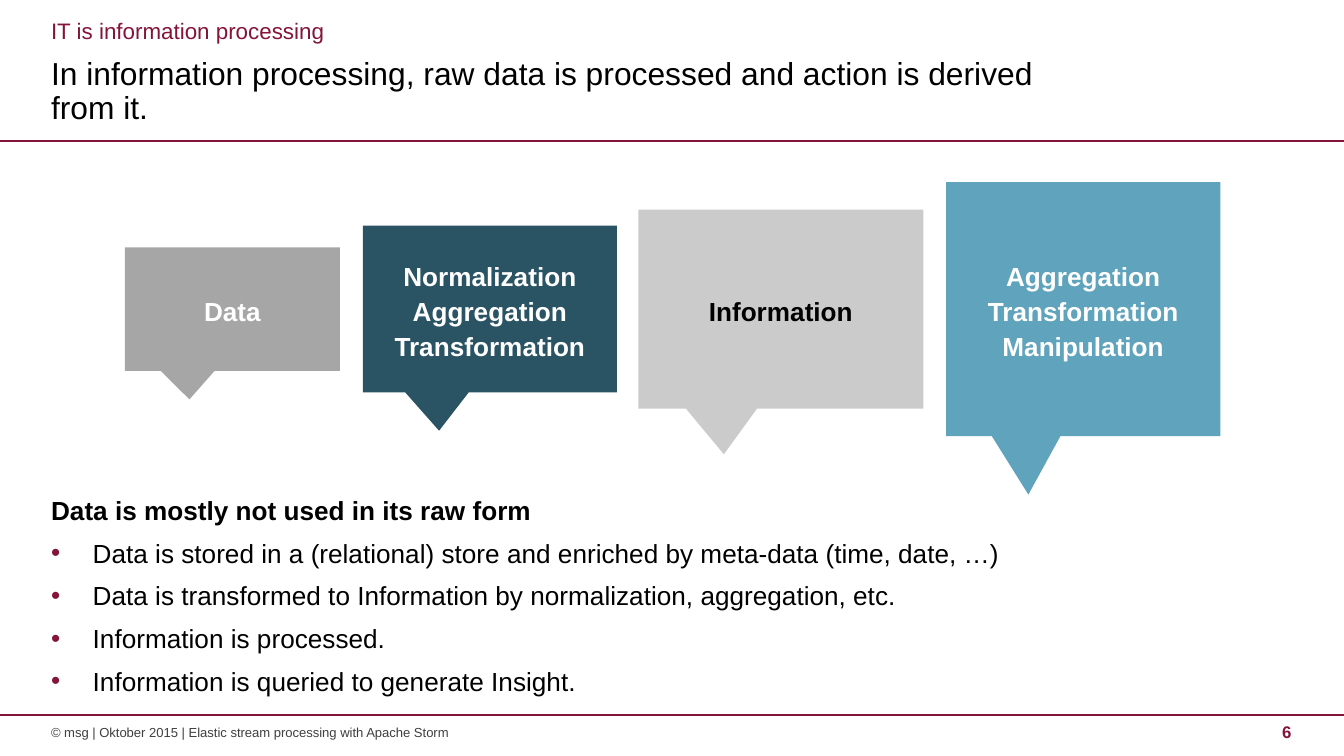
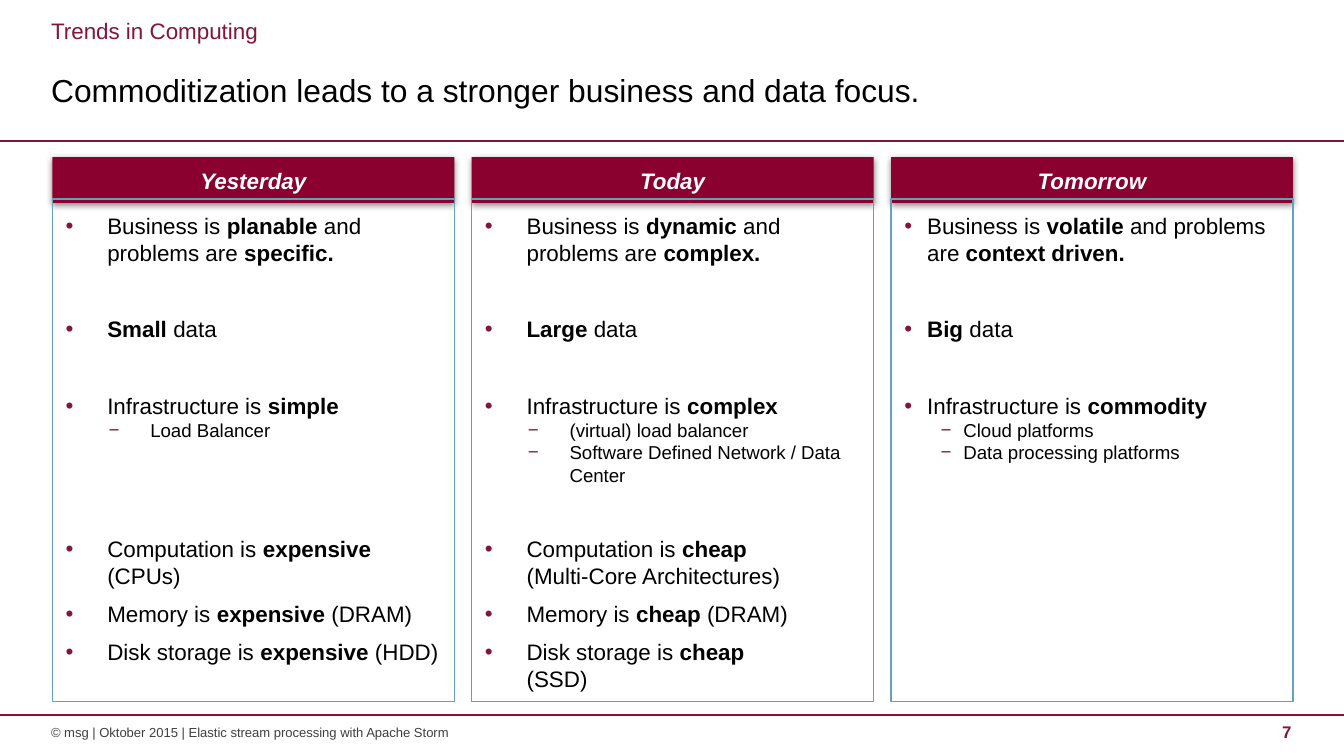
from lxml.etree import SubElement
from pptx import Presentation
from pptx.dml.color import RGBColor
from pptx.enum.shapes import MSO_CONNECTOR, MSO_SHAPE
from pptx.enum.text import MSO_ANCHOR, MSO_AUTO_SIZE, PP_ALIGN
from pptx.oxml.ns import qn
from pptx.util import Inches, Pt

FONT = "Arial"
MAROON = RGBColor(0x84, 0x14, 0x39)
HEADER_RED = RGBColor(0x8A, 0x00, 0x2E)
BLACK = RGBColor(0x00, 0x00, 0x00)
WHITE = RGBColor(0xFF, 0xFF, 0xFF)
DARK_GRAY = RGBColor(0x3F, 0x3F, 0x3F)
MID_GRAY = RGBColor(0xA6, 0xA6, 0xA6)
LIGHT_GRAY = RGBColor(0xCB, 0xCB, 0xCB)
PETROL = RGBColor(0x2A, 0x54, 0x64)
BLUE = RGBColor(0x60, 0xA3, 0xBC)
FOOTER = "© msg | Oktober 2015 | Elastic stream processing with Apache Storm"


def style(tf, size, color, bold=None, align=PP_ALIGN.LEFT, anchor=MSO_ANCHOR.MIDDLE, inset=0):
    """Format a text frame and every run in it."""
    tf.word_wrap = True
    tf.auto_size = MSO_AUTO_SIZE.NONE
    tf.vertical_anchor = anchor
    tf.margin_left = tf.margin_right = tf.margin_top = tf.margin_bottom = Inches(inset)
    for p in tf.paragraphs:
        p.alignment = align
        p.space_before = Pt(0)
        for r in p.runs:
            r.font.name, r.font.size, r.font.color.rgb = FONT, Pt(size), color
            if bold is not None:
                r.font.bold = bold


def bullet(p, char=None, left=0, hang=0):
    """Give a paragraph a maroon bullet, or none."""
    pPr = p._p.get_or_add_pPr()
    pPr.set("marL", str(Inches(left)))
    pPr.set("indent", str(-Inches(hang)))
    if char is None:
        SubElement(pPr, qn("a:buNone"))
        return
    clr = SubElement(pPr, qn("a:buClr"))
    SubElement(clr, qn("a:srgbClr"), val=str(MAROON))
    SubElement(pPr, qn("a:buFont"), typeface=FONT)
    SubElement(pPr, qn("a:buChar"), char=char)


prs = Presentation()
prs.slide_width = Inches(10)
prs.slide_height = prs.slide_width * 9 // 16

# Shared frame: kicker, title, rules, footer, page number
PAGES = [
    (3, "IT is information processing",
     "In information processing, raw data is processed and action is derived from it.", "6"),
    (1, "Trends in Computing",
     "Commoditization leads to a stronger business and data focus.", "7"),
]
for layout, kicker, title, number in PAGES:
    s = prs.slides.add_slide(prs.slide_layouts[layout])
    for sp in list(s.placeholders)[3:]:
        sp._element.getparent().remove(sp._element)
    for y in (5.32, 1.05):
        line = s.shapes.add_connector(MSO_CONNECTOR.STRAIGHT, 0, Inches(y), Inches(10), Inches(y))
        line.line.color.rgb = MAROON
        line.line.width = Pt(0.75)
        SubElement(line._element.spPr, qn("a:effectLst"))

    sp = s.placeholders[1]
    sp.left, sp.top, sp.width, sp.height = Inches(0.38), Inches(0.11), Inches(7.53), Inches(0.23)
    sp.text_frame.text = kicker
    bullet(sp.text_frame.paragraphs[0])
    style(sp.text_frame, 12, MAROON)

    sp = s.shapes.title
    sp.left, sp.top, sp.width, sp.height = Inches(0.38), Inches(0.34), Inches(7.52), Inches(0.69)
    sp.text_frame.text = title
    style(sp.text_frame, 17, BLACK)
    sp.text_frame.paragraphs[0].line_spacing = 0.9

    for text, x, w, size, color, bold, align in (
        (FOOTER, 0.38, 7.52, 7, DARK_GRAY, False, PP_ALIGN.LEFT),
        (number, 9.14, 0.47, 9, MAROON, True, PP_ALIGN.RIGHT),
    ):
        sp = s.shapes.add_textbox(Inches(x), Inches(5.39), Inches(w), Inches(0.11))
        sp.text_frame.text = text
        style(sp.text_frame, size, color, bold, align)

# Slide 1: callouts growing around one centre line
s = prs.slides[0]
CALLOUTS = [
    ("Data", 0.93, 1.6, 0.92, MID_GRAY, WHITE),
    ("Normalization\vAggregation\vTransformation", 2.7, 1.89, 1.24, PETROL, WHITE),
    ("Information", 4.75, 2.12, 1.48, LIGHT_GRAY, BLACK),
    ("Aggregation\vTransformation\vManipulation", 7.04, 2.04, 1.89, BLUE, WHITE),
]
for text, x, w, h, fill, color in CALLOUTS:
    sp = s.shapes.add_shape(MSO_SHAPE.RECTANGULAR_CALLOUT, Inches(x), Inches(2.3 - h / 2),
                            Inches(w), Inches(h))
    sp.adjustments[0], sp.adjustments[1] = -0.2, 0.73
    sp.shadow.inherit = False
    sp.fill.solid()
    sp.fill.fore_color.rgb = fill
    sp.line.fill.background()
    sp.text_frame.text = text
    style(sp.text_frame, 14, color, True, PP_ALIGN.CENTER, inset=0.07)
    sp.text_frame.paragraphs[0].line_spacing = Pt(18.8)

# Slide 1: list
sp = s.placeholders[2]
sp.left, sp.top, sp.width, sp.height = Inches(0.38), Inches(3.68), Inches(9.24), Inches(1.55)
tf = sp.text_frame
tf.text = "\n".join([
    "Data is mostly not used in its raw form",
    "Data is stored in a (relational) store and enriched by meta-data (time, date, …)",
    "Data is transformed to Information by normalization, aggregation, etc.",
    "Information is processed.",
    "Information is queried to generate Insight.",
])
style(tf, 14, BLACK, anchor=MSO_ANCHOR.TOP)
for i, p in enumerate(tf.paragraphs):
    if i:
        bullet(p, "•", 0.31, 0.31)
        p.space_before = Pt(6)
    else:
        bullet(p)
        p.runs[0].font.bold = True

# Slide 2: three columns; rows are (level, space before, text), with *bold* parts
s = prs.slides[1]
GAP = 26.5  # distance between topics, in points
COLUMNS = [
    ("Yesterday", 0.31, 0.63, [
        (0, 0, "Business is *planable *and problems are *specific.*"),
        (0, GAP, "*Small *data"),
        (0, GAP, "Infrastructure is *simple*"),
        (1, 0, "Load Balancer"),
        (0, GAP + 24, "Computation is *expensive *(CPUs)"),
        (0, 6, "Memory is *expensive *(DRAM)"),
        (0, 6, "Disk storage is *expensive *(HDD)"),
    ]),
    ("Today", 0.31, 0.63, [
        (0, 0, "Business is *dynamic *and problems are *complex.*"),
        (0, GAP, "*Large *data"),
        (0, GAP, "Infrastructure is *complex*"),
        (1, 0, "(virtual) load balancer"),
        (1, 0, "Software Defined Network / Data Center"),
        (0, GAP, "Computation is *cheap *\n(Multi-Core Architectures)"),
        (0, 6, "Memory is *cheap *(DRAM)"),
        (0, 6, "Disk storage is *cheap *\n(SSD)"),
    ]),
    ("Tomorrow", 0.17, 0.44, [
        (0, 0, "Business is *volatile *and problems are *context driven.*"),
        (0, GAP, "*Big *data"),
        (0, GAP, "Infrastructure is *commodity*"),
        (1, 0, "Cloud platforms"),
        (1, 0, "Data processing platforms"),
    ]),
]
for i, (heading, hang, sub_left, rows) in enumerate(COLUMNS):
    x = 0.39 + i * 3.12

    # Header bar with a soft shadow
    sp = s.shapes.add_shape(MSO_SHAPE.RECTANGLE, Inches(x), Inches(1.17), Inches(2.99), Inches(0.34))
    sp.fill.solid()
    sp.fill.fore_color.rgb = HEADER_RED
    sp.line.fill.background()
    effects = SubElement(sp._element.spPr, qn("a:effectLst"))
    shadow = SubElement(effects, qn("a:outerShdw"), blurRad=str(Pt(3.5)), dist=str(Pt(1.1)),
                        dir="5400000", rotWithShape="0")
    clr = SubElement(shadow, qn("a:srgbClr"), val=str(BLACK))
    SubElement(clr, qn("a:alpha"), val="45000")
    sp.text_frame.text = heading
    style(sp.text_frame, 12, WHITE, True, PP_ALIGN.CENTER, inset=0.04)
    sp.text_frame.paragraphs[0].runs[0].font.italic = True

    # Framed list
    sp = s.shapes.add_shape(MSO_SHAPE.RECTANGLE, Inches(x), Inches(1.48), Inches(2.99), Inches(3.74))
    sp.shadow.inherit = False
    sp.fill.background()
    sp.line.color.rgb = BLUE
    sp.line.width = Pt(0.75)
    tf = sp.text_frame
    for j, (level, space, text) in enumerate(rows):
        p = tf.add_paragraph() if j else tf.paragraphs[0]
        p.level = level
        for k, part in enumerate(text.split("*")):
            if part.startswith("\n"):
                p.add_line_break()
            if part:
                r = p.add_run()
                r.text = part.lstrip("\n")
                r.font.bold = k % 2 == 1
    style(tf, 12, BLACK, anchor=MSO_ANCHOR.TOP, inset=0.1)
    for p, (level, space, text) in zip(tf.paragraphs, rows):
        bullet(p, "−" if level else "•", sub_left if level else hang, hang)
        p.space_before = Pt(space)
        if level:
            p.runs[0].font.size = Pt(10)

prs.save("out.pptx")
